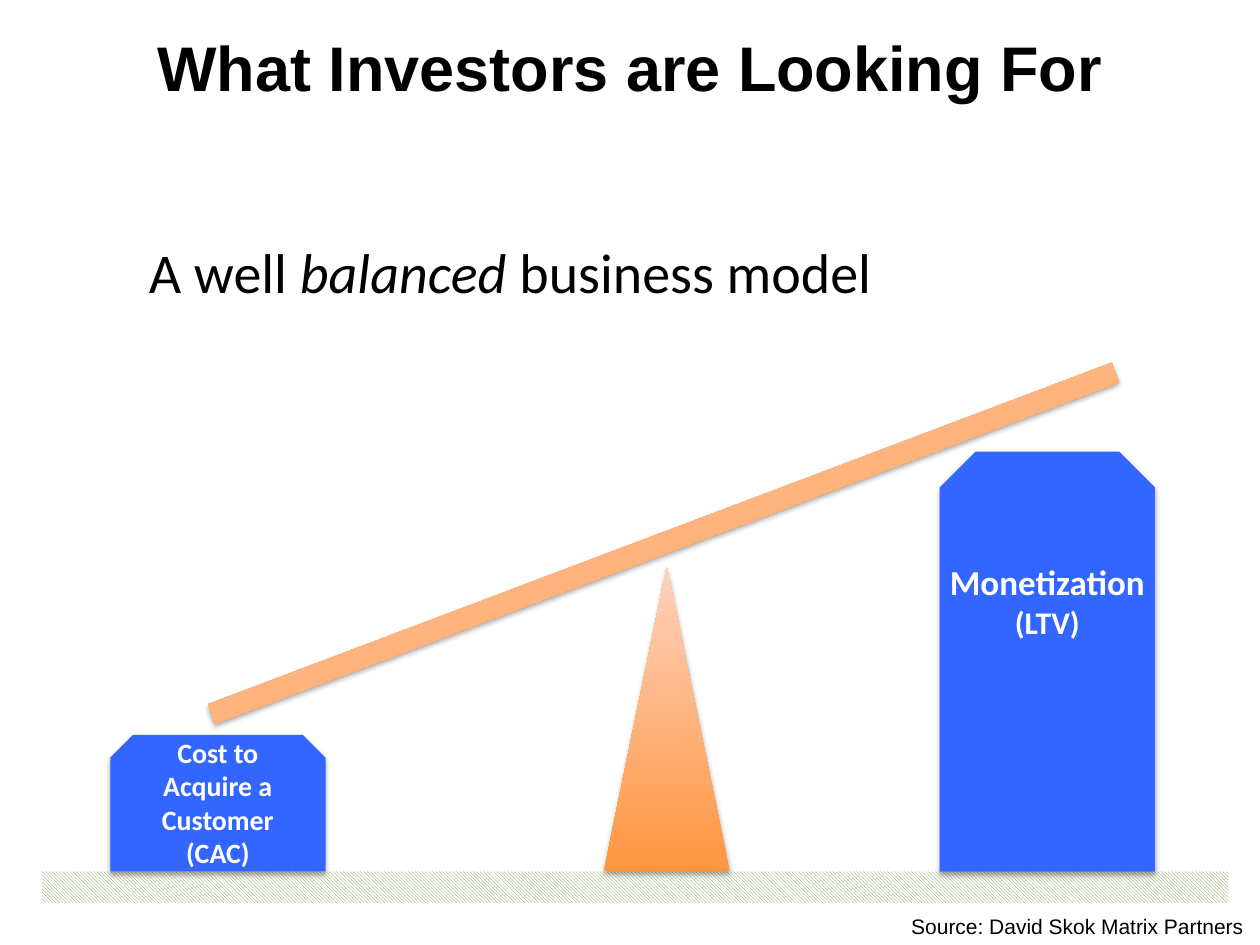
from dataclasses import dataclass

from lxml.etree import SubElement
from pptx import Presentation
from pptx.dml.color import RGBColor
from pptx.enum.dml import MSO_PATTERN
from pptx.enum.shapes import MSO_SHAPE as Shape
from pptx.enum.text import MSO_ANCHOR as Anchor, MSO_AUTO_SIZE as AutoSize, PP_ALIGN as Align
from pptx.oxml.ns import qn
from pptx.util import Inches, Pt

COLUMNS, ROWS = 240, 180  # square grid cells across and down the slide
CELL = Inches(10) / COLUMNS


@dataclass(frozen=True)
class Theme:
    ink: str = "000000"
    paper: str = "FFFFFF"
    block: str = "3366FF"
    wood_dark: str = "FF953E"
    wood_light: str = "FFD2BD"
    grass: str = "77933C"
    heading_font: str = "Arial"
    body_font: str = "Calibri"
    title: int = 36
    statement: int = 32
    label_large: int = 20
    label: int = 18
    label_small: int = 16
    source: int = 12


THEME = Theme()


@dataclass(frozen=True)
class Box:
    """A rectangle in grid cells."""
    left: float
    top: float
    width: float
    height: float

    def inner(self, left, top, width, height):
        return Box(self.left + left, self.top + top, width, height)

    def centred(self, width, height, middle):
        """A box centred across this one, its middle given in rows from the top."""
        return self.inner((self.width - width) / 2, middle - height / 2, width, height)

    def emu(self):
        return [round(n * CELL) for n in (self.left, self.top, self.width, self.height)]


def rgb(code):
    return RGBColor.from_string(code)


def add_run(paragraph, text, size, font=THEME.body_font, color=THEME.ink,
            bold=False, italic=False):
    run = paragraph.add_run()
    run.text = text
    run.font.name, run.font.size = font, Pt(size)
    run.font.bold, run.font.italic = bold, italic
    run.font.color.rgb = rgb(color)


def add_line(slide, box, align=Align.LEFT):
    """Adds an unwrapped text box and returns its paragraph."""
    frame = slide.shapes.add_textbox(*box.emu()).text_frame
    frame.word_wrap = False
    frame.auto_size = AutoSize.SHAPE_TO_FIT_TEXT
    frame.paragraphs[0].alignment = align
    return frame.paragraphs[0]


def add_plain_shape(slide, kind, box):
    shape = slide.shapes.add_shape(kind, *box.emu())
    shape.shadow.inherit = False
    shape.line.fill.background()
    return shape


def cast_shadow(shape):
    effects = shape.element.spPr.find(qn("a:effectLst"))
    shadow = SubElement(effects, qn("a:outerShdw"), blurRad=str(Pt(3.1)),
                        dist=str(Pt(1.8)), dir="5400000", rotWithShape="0")
    color = SubElement(shadow, qn("a:srgbClr"), val=THEME.ink)
    SubElement(color, qn("a:alpha"), val="35000")


def add_wood(slide, kind, box, rotation=0):
    wood = add_plain_shape(slide, kind, box)
    wood.fill.gradient()
    wood.fill.gradient_angle = 90
    for stop, color in zip(wood.fill.gradient_stops, (THEME.wood_dark, THEME.wood_light)):
        stop.color.rgb = rgb(color)
    stops = wood.fill.gradient_stops
    stops[0].position, stops[1].position = 0, 1
    wood.rotation = rotation
    cast_shadow(wood)


def add_block(slide, box):
    block = add_plain_shape(slide, Shape.SNIP_2_SAME_RECTANGLE, box)
    block.fill.solid()
    block.fill.fore_color.rgb = rgb(THEME.block)
    cast_shadow(block)


def add_label(slide, box, lines):
    paragraph = add_line(slide, box, Align.CENTER)
    for index, (text, size) in enumerate(lines):
        if index:
            paragraph.add_line_break()
        add_run(paragraph, text, size, color=THEME.paper, bold=True)


def add_title(slide, box):
    title = slide.shapes.title
    title.left, title.top, title.width, title.height = box.emu()
    frame = title.text_frame
    frame.vertical_anchor = Anchor.MIDDLE
    frame.paragraphs[0].alignment = Align.CENTER
    add_run(frame.paragraphs[0], "What Investors are Looking For", THEME.title,
            THEME.heading_font, bold=True)


def add_statement(slide, box):
    paragraph = add_line(slide, box)
    for text, italic in (("A well ", False), ("balanced ", True), ("business model", False)):
        add_run(paragraph, text, THEME.statement, italic=italic)


def add_seesaw(slide, box):
    ground_rows, block_width = 6, 41
    floor = box.height - ground_rows

    ground = add_plain_shape(slide, Shape.RECTANGLE,
                             box.inner(0, floor, box.width, ground_rows))
    ground.fill.patterned()
    ground.fill.pattern = MSO_PATTERN.LIGHT_DOWNWARD_DIAGONAL
    ground.fill.fore_color.rgb = rgb(THEME.grass)
    ground.fill.back_color.rgb = rgb(THEME.paper)

    add_wood(slide, Shape.ISOSCELES_TRIANGLE, box.inner(107, floor - 58, 24, 58))
    add_wood(slide, Shape.RECTANGLE, box.inner(26.4, 15.5, 184, 4), rotation=339.3)

    monetization = box.inner(171, floor - 80, block_width, 80)
    cost = box.inner(13, floor - 26, block_width, 26)
    for block in (monetization, cost):
        add_block(slide, block)
    add_label(slide, monetization.centred(42.5, 17.8, 28.5),
              [("Monetization", THEME.label_large), ("(LTV)", THEME.label)])
    add_label(slide, cost.centred(26.4, 28.3, cost.height / 2),
              [(text, THEME.label_small)
               for text in ("Cost to", "Acquire a", "Customer", "(CAC)")])


def add_source(slide, box):
    add_run(add_line(slide, box), "Source: David Skok Matrix Partners",
            THEME.source, THEME.heading_font)


def main():
    deck = Presentation()
    deck.slide_width, deck.slide_height = round(COLUMNS * CELL), round(ROWS * CELL)
    slide = deck.slides.add_slide(deck.slide_layouts[5])
    add_title(slide, Box(12, 4, 216, 17.3))
    add_seesaw(slide, Box(8, 86, 226, 86))
    add_statement(slide, Box(26, 44, 143.8, 15.4))
    add_source(slide, Box(171.2, 172.8, 68.8, 7.2))
    deck.save("out.pptx")


if __name__ == "__main__":
    main()
